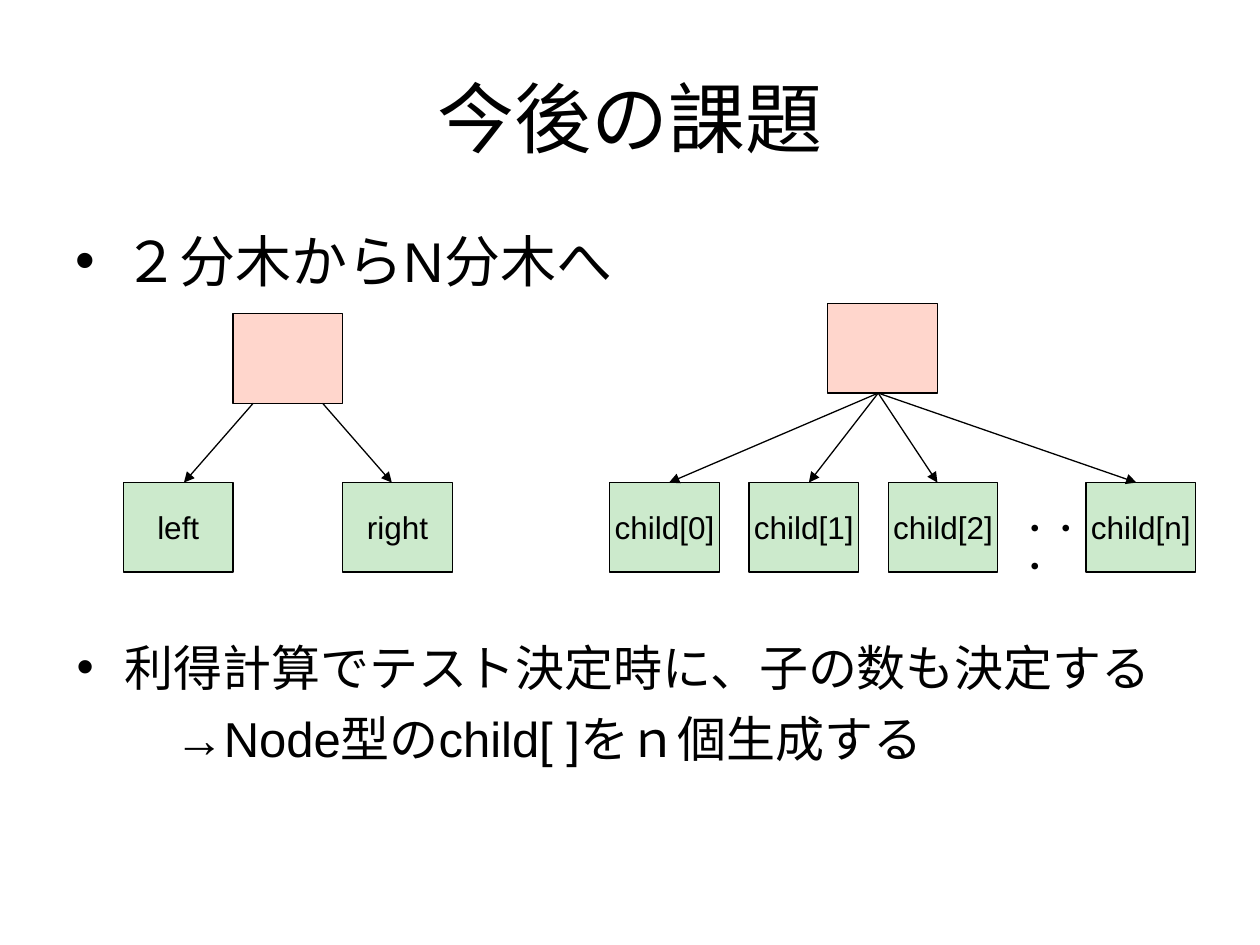
from dataclasses import dataclass

from lxml.etree import SubElement
from pptx import Presentation
from pptx.dml.color import RGBColor
from pptx.enum.shapes import MSO_CONNECTOR, MSO_SHAPE
from pptx.enum.text import MSO_ANCHOR, MSO_AUTO_SIZE, PP_ALIGN
from pptx.oxml.ns import qn
from pptx.util import Inches, Pt


@dataclass(frozen=True)
class Theme:
    font: str = "Arial"
    ink: RGBColor = RGBColor(0x00, 0x00, 0x00)
    root: RGBColor = RGBColor(0xFF, 0x33, 0x00)
    child: RGBColor = RGBColor(0x00, 0x99, 0x00)
    node_alpha: int = 20000
    line: float = 0.75
    title: int = 44
    topic: int = 32
    detail: int = 28
    label: int = 18


theme = Theme()


def write(frame, text, size=theme.label, align=PP_ALIGN.LEFT, before=0,
          bullet=False, left=0.0):
    """Append one paragraph to a text frame, filling the empty first one."""
    paragraph = frame.add_paragraph() if frame.text else frame.paragraphs[0]
    paragraph.alignment = align
    paragraph.space_before = Pt(before)
    run = paragraph.add_run()
    run.text = text
    run.font.name = theme.font
    run.font.size = Pt(size)
    run.font.color.rgb = theme.ink
    properties = paragraph._p.get_or_add_pPr()
    properties.set("marL", str(Inches(left)))
    if bullet:
        properties.set("indent", str(-Inches(left)))
        SubElement(properties, qn("a:buFont"), typeface=theme.font)
        SubElement(properties, qn("a:buChar"), char="•")


def text_box(left, top, width, height, anchor=MSO_ANCHOR.TOP):
    frame = slide.shapes.add_textbox(
        Inches(left), Inches(top), Inches(width), Inches(height)).text_frame
    frame.word_wrap = True
    frame.vertical_anchor = anchor
    return frame


deck = Presentation()
deck.slide_width, deck.slide_height = Inches(10), Inches(7.5)
slide = deck.slides.add_slide(deck.slide_layouts[6])

# Title and first topic
title = text_box(0.5, 0.3, 9, 1.25, MSO_ANCHOR.MIDDLE)
write(title, "今後の課題", size=theme.title, align=PP_ALIGN.CENTER)
topic = text_box(0.5, 1.75, 9, 0.66)
write(topic, "２分木からN分木へ", size=theme.topic, before=8, bullet=True, left=0.38)

# Tree nodes: two roots, then the children in one row
node_width, node_height = 0.87, 0.71
binary_top, nary_top, child_top = 2.49, 2.41, 3.83
child_step = 1.105
nodes = [
    ("", 1.85, binary_top, theme.root),
    ("", 6.57, nary_top, theme.root),
    ("left", 1.85 - node_width, child_top, theme.child),
    ("right", 1.85 + node_width, child_top, theme.child),
    *[(f"child[{i}]", 4.84 + i * child_step, child_top, theme.child) for i in range(3)],
    ("child[n]", 8.62, child_top, theme.child),
]
for label, left, top, colour in nodes:
    node = slide.shapes.add_shape(
        MSO_SHAPE.RECTANGLE, Inches(left), Inches(top),
        Inches(node_width), Inches(node_height))
    node.shadow.inherit = False
    node.fill.solid()
    node.fill.fore_color.rgb = colour
    tint = node.fill._xPr.find(qn("a:solidFill"))[0]
    SubElement(tint, qn("a:alpha"), val=str(theme.node_alpha))
    node.line.color.rgb = theme.ink
    node.line.width = Pt(theme.line)
    if label:
        node.text_frame.word_wrap = False
        node.text_frame.vertical_anchor = MSO_ANCHOR.MIDDLE
        write(node.text_frame, label, align=PP_ALIGN.CENTER)

# Branches: start x, root top, end x
branches = [(2.01, binary_top, 1.46), (2.56, binary_top, 3.11)]
branches += [(6.97, nary_top, end) for end in (5.31, 6.42, 7.44, 9.02)]
for start, root_top, end in branches:
    branch = slide.shapes.add_connector(
        MSO_CONNECTOR.STRAIGHT, Inches(start), Inches(root_top + node_height),
        Inches(end), Inches(child_top))
    branch.line.color.rgb = theme.ink
    branch.line.width = Pt(theme.line)
    SubElement(branch.line._get_or_add_ln(), qn("a:tailEnd"), type="triangle")
    SubElement(branch._element.spPr, qn("a:effectLst"))

# Dots for the omitted children
dots = text_box(7.99, 3.99, 0.71, 0.7)
dots.auto_size = MSO_AUTO_SIZE.SHAPE_TO_FIT_TEXT
write(dots, "・・・", before=11.2)

# Second topic, its consequence indented by two characters
plan = text_box(0.51, 5.01, 9, 1.5)
write(plan, "利得計算でテスト決定時に、子の数も決定する",
      size=theme.detail, before=7, bullet=True, left=0.38)
write(plan, "→Node型のchild[ ]をｎ個生成する", size=theme.detail, before=7, left=0.78)

deck.save("out.pptx")
